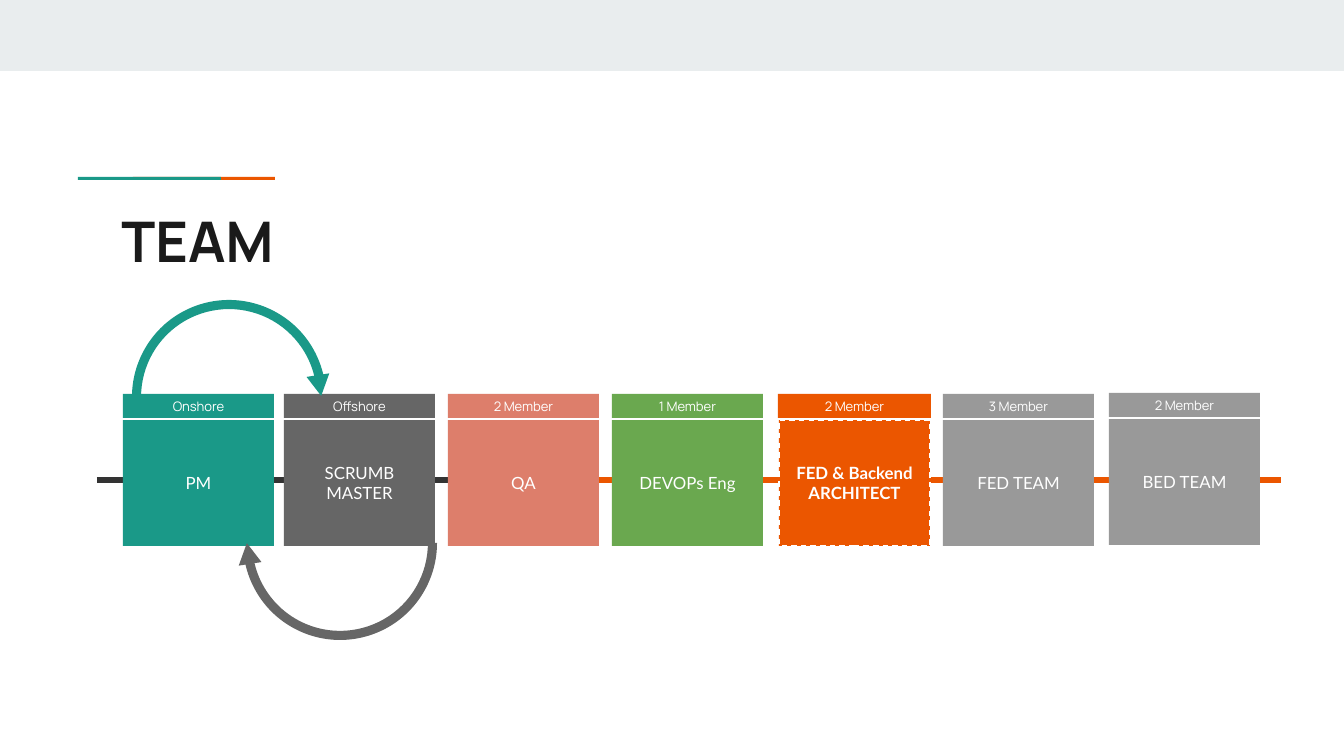
from pptx import Presentation
from pptx.dml.color import RGBColor
from pptx.enum.dml import MSO_LINE
from pptx.enum.shapes import MSO_CONNECTOR, MSO_SHAPE
from pptx.enum.text import MSO_ANCHOR, MSO_AUTO_SIZE, PP_ALIGN
from pptx.oxml.ns import qn
from pptx.util import Emu, Pt
from lxml.etree import SubElement

SCALE = 914400 / 134.4  # EMU per px
C = {
    "band": "E9EDEE", "ink": "1A1A1A", "white": "FFFFFF", "dark": "333333",
    "teal": "1A9988", "slate": "666666", "coral": "DD7E6B",
    "green": "6AA84F", "orange": "EB5600", "gray": "999999",
}


def px(*lengths):
    return [Emu(round(n * SCALE)) for n in lengths]


def add_block(kind, box, color, text="", font="Lato", size=9, bold=False):
    s = slide.shapes.add_shape(kind, *px(*box))
    s.shadow.inherit = False
    s.fill.solid()
    s.fill.fore_color.rgb = RGBColor.from_string(C[color])
    s.line.fill.background()
    if text:
        tf = s.text_frame
        tf.word_wrap = True
        tf.vertical_anchor = MSO_ANCHOR.MIDDLE
        tf.margin_left = tf.margin_right = tf.margin_top = tf.margin_bottom = Pt(7.2)
        p = tf.paragraphs[0]
        p.alignment = PP_ALIGN.CENTER
        r = p.add_run()
        r.text = text
        r.font.name, r.font.size, r.font.bold = font, Pt(size), bold
        r.font.color.rgb = RGBColor.from_string(C["white"])
    return s


prs = Presentation()
prs.slide_width, prs.slide_height = px(1344, 756)
slide = prs.slides.add_slide(prs.slide_layouts[5])

# Top band and two-colour accent rule
add_block(MSO_SHAPE.RECTANGLE, (0, 0, 1344, 71), "band")
add_block(MSO_SHAPE.RECTANGLE, (133, 177, 142, 3), "orange")
add_block(MSO_SHAPE.RECTANGLE, (78, 177, 143, 3), "teal")

# Title
title = slide.shapes.title
title.left, title.top, title.width, title.height = px(108, 193, 1130, 79)
tf = title.text_frame
tf.auto_size = MSO_AUTO_SIZE.NONE
tf.vertical_anchor = MSO_ANCHOR.TOP
tf.margin_left = tf.margin_right = tf.margin_top = tf.margin_bottom = Pt(7.2)
p = tf.paragraphs[0]
p.alignment = PP_ALIGN.LEFT
r = p.add_run()
r.text = "TEAM"
r.font.name, r.font.size, r.font.bold = "Manrope", Pt(30), True
r.font.color.rgb = RGBColor.from_string(C["ink"])

# Line running behind the cards
for x1, x2, color in [(598, 1281, "orange"), (97, 570, "dark")]:
    line = slide.shapes.add_connector(MSO_CONNECTOR.STRAIGHT, *px(x1, 480, x2, 480))
    line.line.color.rgb = RGBColor.from_string(C[color])
    line.line.width = Pt(3)
    SubElement(line._element.spPr, qn("a:effectLst"))

# Team cards: left, top, colour, header, role, highlighted
cards = [
    (123, 394, "teal", "Onshore", "PM", False),
    (284, 394, "slate", "Offshore", "SCRUMB MASTER", False),
    (448, 394, "coral", "2 Member", "QA", False),
    (612, 394, "green", "1 Member", "DEVOPs Eng", False),
    (778, 394, "orange", "2 Member", "FED & Backend ARCHITECT", True),
    (943, 394, "gray", "3 Member", "FED TEAM", False),
    (1109, 393, "gray", "2 Member", "BED TEAM", False),
]
for x, y, color, header, role, highlighted in cards:
    inset = 1 if highlighted else 0
    body = add_block(MSO_SHAPE.RECTANGLE, (x + inset, y + 26, 151, 126), color,
                     role, bold=highlighted)
    if highlighted:
        body.line.color.rgb = RGBColor.from_string(C["white"])
        body.line.width = Pt(0.75)
        body.line.dash_style = MSO_LINE.DASH
    add_block(MSO_SHAPE.RECTANGLE, (x, y, 151 + 2 * inset, 24), color,
              header, font="Manrope", size=7)

# Circular arrows between PM and scrum master: arc, head, colour, turn
loops = [
    ((132, 300), (308, 375), "teal", 0),
    ((243, 446), (237, 543), "slate", 180),
]
for arc_at, head_at, color, turn in loops:
    arc = add_block(MSO_SHAPE.BLOCK_ARC, (*arc_at, 194, 194), color)
    for i, value in enumerate((108, 211.46, 0.047)):
        arc.adjustments[i] = value
    arc.rotation = turn
    head = add_block(MSO_SHAPE.ISOSCELES_TRIANGLE, (*head_at, 23, 21), color)
    head.rotation = turn + 171.1

prs.save("out.pptx")
